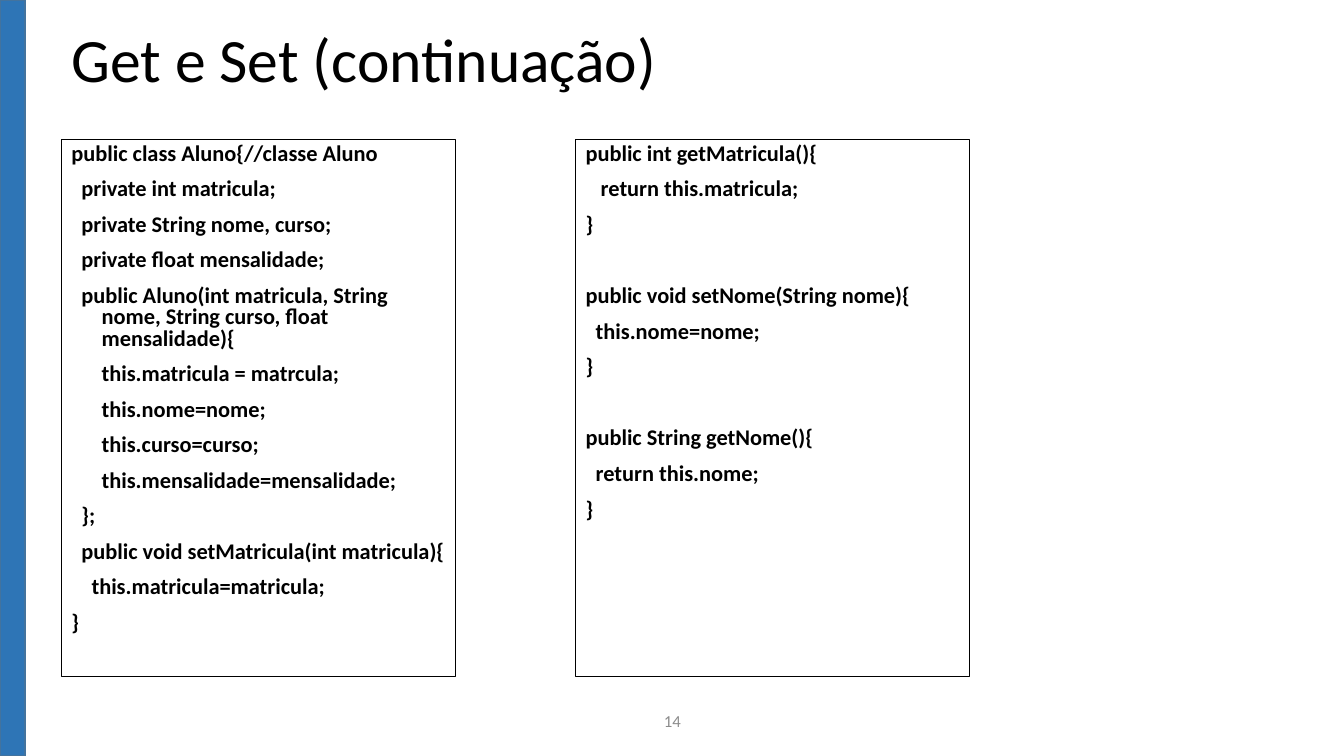
"""Build the slide on getters and setters with two code panels."""
import pptx
import pptx.util
import pptx.dml.color
import pptx.enum.shapes
import pptx.enum.text

Inches = pptx.util.Inches
Pt = pptx.util.Pt
Color = pptx.dml.color.RGBColor
Align = pptx.enum.text.PP_ALIGN
Anchor = pptx.enum.text.MSO_ANCHOR

BLACK = Color(0x00, 0x00, 0x00)
GRAY = Color(0x8C, 0x8C, 0x8C)
BLUE = Color(0x2E, 0x75, 0xB6)
EDGE = Color(0x43, 0x73, 0x9E)

FIELDS = [
    (0, "public class Aluno{//classe Aluno"),
    (0.1, "private int matricula;"),
    (0.1, "private String nome, curso;"),
    (0.1, "private float mensalidade;"),
    (0.1, "public Aluno(int matricula, String nome, String curso, float mensalidade){"),
    (0.3, "this.matricula = matrcula;"),
    (0.3, "this.nome=nome;"),
    (0.3, "this.curso=curso;"),
    (0.3, "this.mensalidade=mensalidade;"),
    (0.1, "};"),
    (0.1, "public void setMatricula(int matricula){"),
    (0.2, "this.matricula=matricula;"),
    (0, "}"),
]
GETTER = [(0, "public int getMatricula(){"), (0.15, "return this.matricula;"), (0, "}")]
SETTER = [(0, "public void setNome(String nome){"), (0.1, "this.nome=nome;"), (0, "}")]
READER = [(0, "public String getNome(){"), (0.1, "return this.nome;"), (0, "}")]


class Page:
    """Hold the style and the current slide."""

    font = "Calibri"
    hang = 0.3
    space = 10
    gap = 35.6

    def __init__(self, deck):
        self.slide = deck.slides.add_slide(deck.slide_layouts[6])

    def put(self, item, form):
        for name, value in form.items():
            setattr(item, name, value)

    def words(self, para, text, size, color, bold=False):
        run = para.add_run()
        run.text = text
        self.put(run.font, {"name": self.font, "size": Pt(size), "bold": bold})
        run.font.color.rgb = color

    def label(self, box, text, size, color, form):
        frame = self.slide.shapes.add_textbox(*map(Inches, box)).text_frame
        self.put(frame, {"word_wrap": True, "vertical_anchor": Anchor.MIDDLE})
        para = frame.paragraphs[0]
        self.put(para, form)
        self.words(para, text, size, color)

    def block(self, box, fill, edge, width):
        kind = pptx.enum.shapes.MSO_SHAPE.RECTANGLE
        shape = self.slide.shapes.add_shape(kind, *map(Inches, box))
        shape.shadow.inherit = False
        if fill is None:
            shape.fill.background()
        else:
            shape.fill.solid()
            shape.fill.fore_color.rgb = fill
        shape.line.color.rgb = edge
        shape.line.width = Pt(width)
        return shape

    def panel(self, left, groups):
        frame = self.block((left, 1.38, 3.91, 5.33), None, BLACK, 0.75).text_frame
        self.put(frame, {"word_wrap": True, "vertical_anchor": Anchor.TOP})
        para = frame.paragraphs[0]
        for part, lines in enumerate(groups):
            for row, (indent, text) in enumerate(lines):
                if part or row:
                    para = frame.add_paragraph()
                before = self.gap if part and not row else self.space
                self.put(para, {"alignment": Align.LEFT, "line_spacing": 0.8,
                                "space_before": Pt(before)})
                props = para._p.get_or_add_pPr()
                props.set("marL", str(Inches(self.hang)))
                props.set("indent", str(Inches(indent - self.hang)))
                self.words(para, text, 16, BLACK, True)


def main():
    deck = pptx.Presentation()
    deck.slide_width = Inches(13.33)
    deck.slide_height = Inches(7.5)
    page = Page(deck)
    page.label((0.61, 0.3, 9, 0.65), "Get e Set (continuação)", 44, BLACK,
               {"line_spacing": 0.9})
    page.panel(0.61, [FIELDS])
    page.label((4.42, 6.95, 4.5, 0.4), "14", 12, GRAY, {"alignment": Align.CENTER})
    page.panel(5.71, [GETTER, SETTER, READER])
    page.block((0, 0, 0.25, 7.5), BLUE, EDGE, 1)
    deck.save("out.pptx")


if __name__ == "__main__":
    main()
